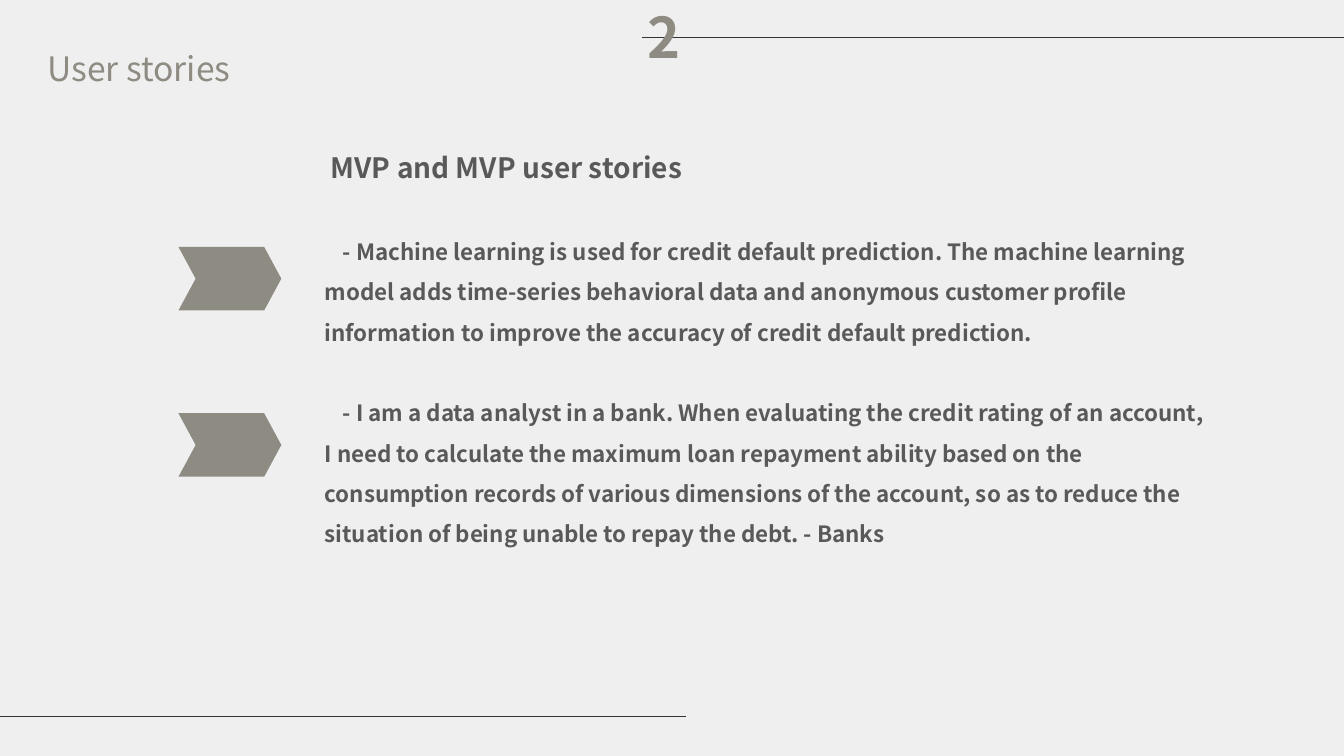
from dataclasses import dataclass

from lxml import etree
from pptx import Presentation
from pptx import util as u
from pptx.dml import color
from pptx.enum import shapes, text
from pptx.oxml import ns

EMU_PER_PX = 9144


@dataclass(frozen=True)
class Theme:
    font: str = "Noto Sans CJK SC"
    background: str = "EFEFEF"
    accent: str = "8E8B82"
    body: str = "595959"
    rule: str = "343434"
    title_size: int = 24
    number_size: int = 40
    heading_size: int = 20
    story_size: int = 16
    rule_width: float = 0.5
    tight: float = 1.2
    loose: float = 1.8


@dataclass(frozen=True)
class Box:
    left: int
    top: int
    width: int
    height: int


@dataclass(frozen=True)
class Rule:
    start: int
    end: int
    y: int


@dataclass(frozen=True)
class Paragraph:
    words: str
    size: int
    color: str
    bold: bool
    spacing: float
    indent: int = 0
    gap: float = 0


THEME = Theme()
STORY_GAP = THEME.story_size * THEME.loose
RULES = [Rule(0, 680, 711), Rule(637, 1333, 37)]
CHEVRONS = [Box(177, top, 102, 63) for top in (245, 410)]
TITLE = Paragraph("User stories", THEME.title_size, THEME.accent, False, THEME.tight)
NUMBER = Paragraph("2", THEME.number_size, THEME.accent, True, THEME.tight)
HEADING = Paragraph(
    "MVP and MVP user stories", THEME.heading_size, THEME.body, True, THEME.loose, 6
)
STORIES = [
    "- Machine learning is used for credit default prediction. The machine "
    "learning model adds time-series behavioral data and anonymous customer "
    "profile information to improve the accuracy of credit default prediction.",
    "- I am a data analyst in a bank. When evaluating the credit rating of an "
    "account, I need to calculate the maximum loan repayment ability based on "
    "the consumption records of various dimensions of the account, so as to "
    "reduce the situation of being unable to repay the debt. - Banks",
]


def px(length: int) -> u.Emu:
    return u.Emu(length * EMU_PER_PX)


def rgb(value: str) -> color.RGBColor:
    return color.RGBColor.from_string(value)


def place(shape, box: Box) -> None:
    shape.left, shape.top = px(box.left), px(box.top)
    shape.width, shape.height = px(box.width), px(box.height)


def write(frame, paragraphs: list[Paragraph], side: int, wrap: bool = True) -> None:
    frame.word_wrap = wrap
    frame.auto_size = text.MSO_AUTO_SIZE.NONE
    frame.vertical_anchor = text.MSO_ANCHOR.TOP
    frame.margin_left = frame.margin_right = px(side)
    frame.margin_top = frame.margin_bottom = px(5)
    for index, item in enumerate(paragraphs):
        para = frame.add_paragraph() if index else frame.paragraphs[0]
        para.alignment = text.PP_ALIGN.LEFT
        para.line_spacing = u.Pt(item.size * item.spacing)
        para.space_before = u.Pt(item.gap)
        if item.indent:
            para._p.get_or_add_pPr().set("indent", str(px(item.indent)))
        span = para.add_run()
        span.text = item.words
        span.font.name = THEME.font
        span.font.size = u.Pt(item.size)
        span.font.bold = item.bold
        span.font.color.rgb = rgb(item.color)


def draw_rule(page, rule: Rule) -> None:
    line = page.shapes.add_connector(
        shapes.MSO_CONNECTOR.STRAIGHT,
        px(rule.start), px(rule.y), px(rule.end), px(rule.y),
    )
    line.line.color.rgb = rgb(THEME.rule)
    line.line.width = u.Pt(THEME.rule_width)
    etree.SubElement(line._element.spPr, ns.qn("a:effectLst"))


def draw_chevron(page, box: Box) -> None:
    chevron = page.shapes.add_shape(shapes.MSO_SHAPE.CHEVRON, 0, 0, 0, 0)
    place(chevron, box)
    chevron.adjustments[0] = 0.27
    chevron.shadow.inherit = False
    chevron.fill.solid()
    chevron.fill.fore_color.rgb = rgb(THEME.accent)
    chevron.line.fill.background()


def draw_text(
    page, box: Box, paragraphs: list[Paragraph], side: int, wrap: bool = True
) -> None:
    label = page.shapes.add_textbox(0, 0, 0, 0)
    place(label, box)
    write(label.text_frame, paragraphs, side, wrap)


def main() -> None:
    deck = Presentation()
    deck.slide_width, deck.slide_height = px(1333), px(750)
    page = deck.slides.add_slide(deck.slide_layouts.get_by_name("Title Only"))
    page.background.fill.solid()
    page.background.fill.fore_color.rgb = rgb(THEME.background)

    for rule in RULES:
        draw_rule(page, rule)

    title = page.shapes.title
    place(title, Box(37, 43, 415, 50))
    write(title.text_frame, [TITLE], 10)

    draw_text(page, Box(632, -2, 48, 77), [NUMBER], 10, wrap=False)
    stories = [
        Paragraph(
            words, THEME.story_size, THEME.body, True, THEME.loose, 18, STORY_GAP
        )
        for words in STORIES
    ]
    draw_text(page, Box(318, 128, 883, 464), [HEADING, *stories], 4)

    for chevron in CHEVRONS:
        draw_chevron(page, chevron)

    deck.save("out.pptx")


if __name__ == "__main__":
    main()
